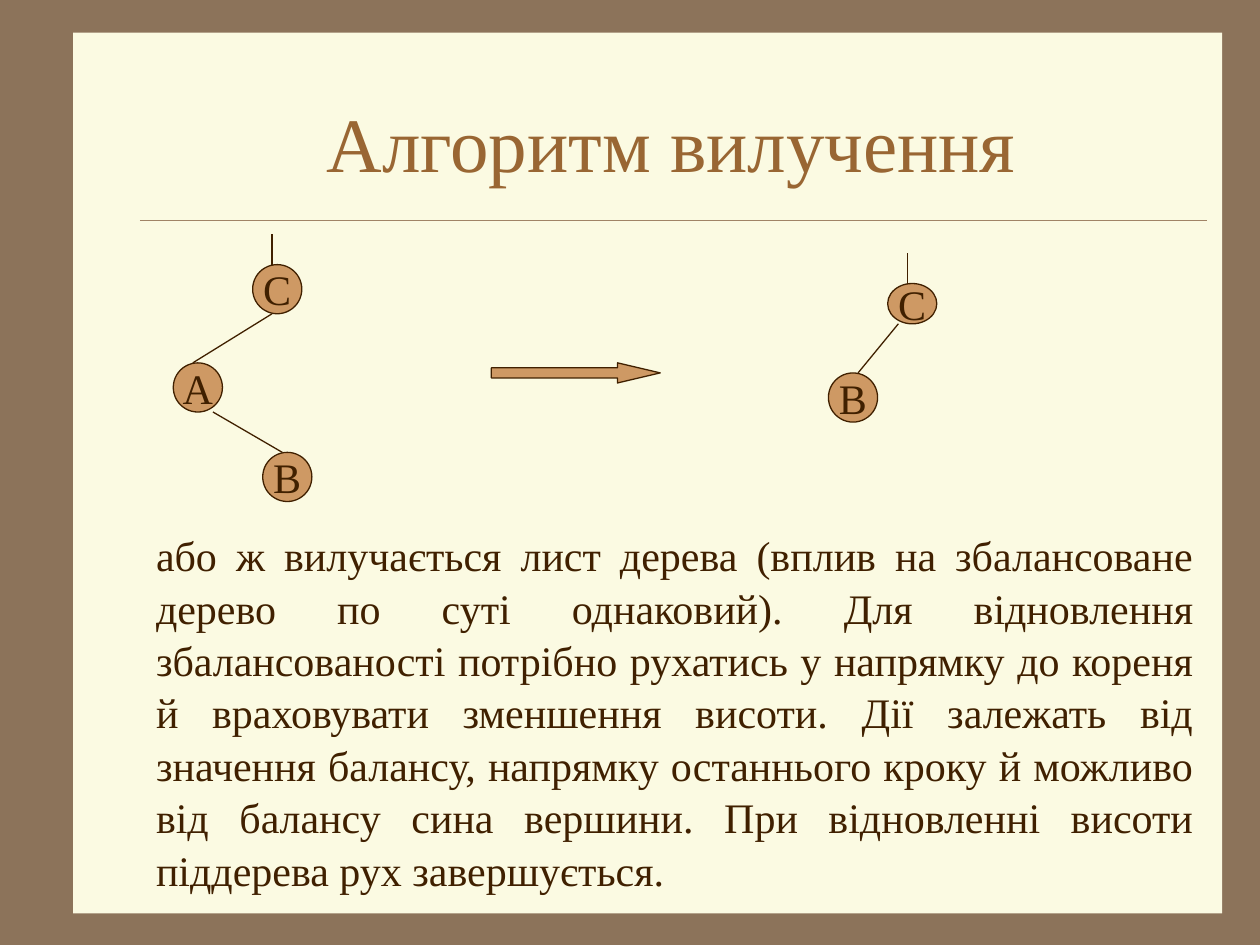
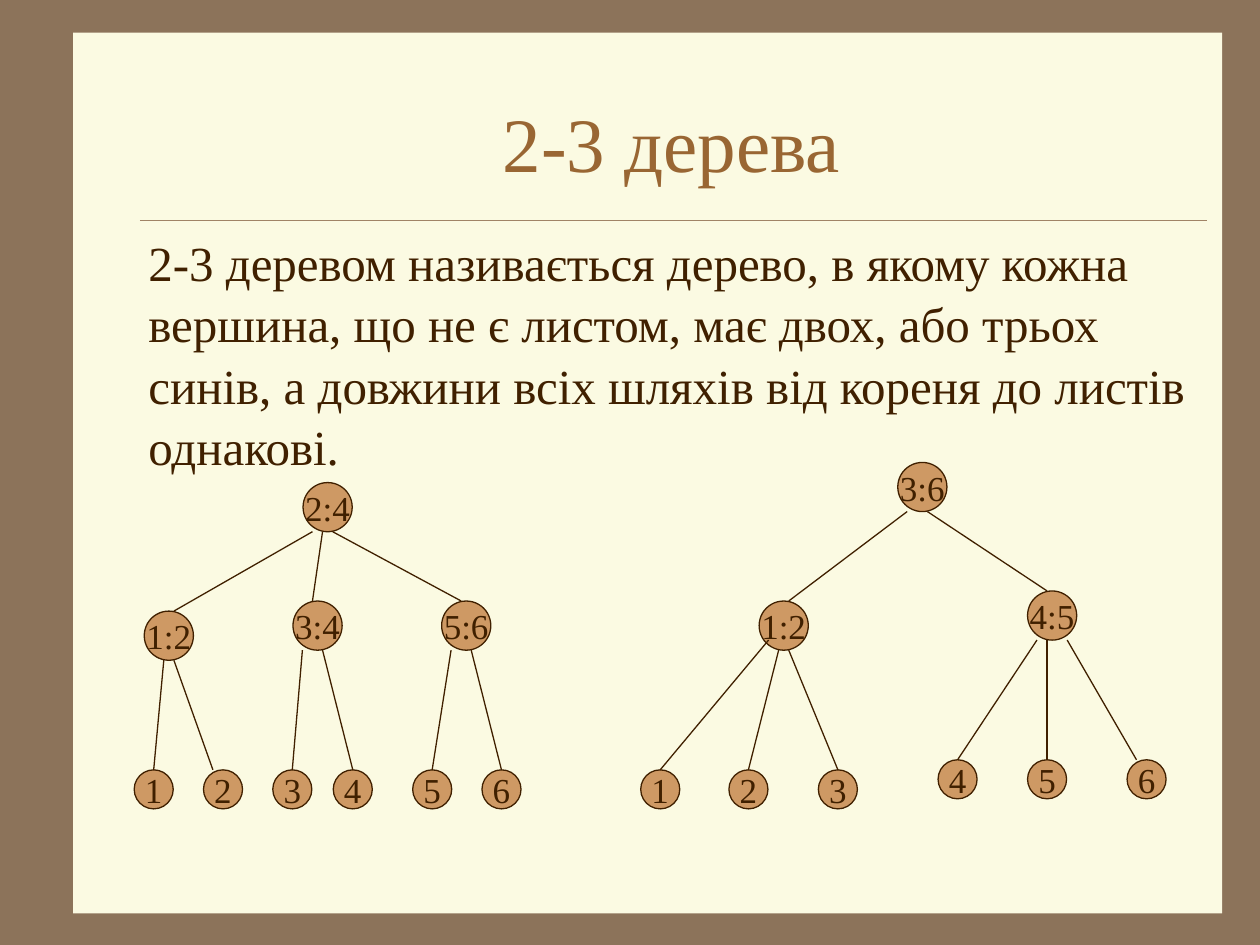
from dataclasses import dataclass

from lxml.etree import SubElement
from pptx import Presentation
from pptx.dml.color import RGBColor
from pptx.enum.shapes import MSO_CONNECTOR, MSO_SHAPE
from pptx.enum.text import MSO_ANCHOR, PP_ALIGN
from pptx.oxml.ns import qn
from pptx.util import Inches, Pt

FONT = "Times New Roman"
BACK, PANEL, RULE = "8C735A", "FBFAE2", "A08366"
TITLE, INK, NODE = "996633", "402000", "CE9964"


@dataclass
class Node:
    """A tree node; out and into shift the ends of the edge from its parent."""
    label: str
    x: float
    top: float
    parent: str = ""
    out: float = 0
    into: float = 0
    w: float = 0.39
    h: float = 0.39
    lift: float = 0


def leaves(parent, top, *rows):
    """Makes the leaves below one parent."""
    return [Node(label, x, top, parent, out, into, 0.31, 0.31, lift)
            for label, x, out, into, lift in rows]


BEFORE = [
    Node("C", 2.2, 2.1),
    Node("A", 1.57, 2.88, "C", -0.04, -0.04),
    Node("B", 2.28, 3.59, "A", 0.12, -0.04),
]
AFTER = [
    Node("C", 7.24, 2.25, h=0.32),
    Node("B", 6.77, 2.96, "C", -0.11, 0.04),
]
LEFT_TREE = [
    Node("2:4", 2.6, 3.83),
    Node("1:2", 1.34, 4.85, "2:4", -0.12, 0.04),
    Node("3:4", 2.52, 4.77, "2:4", -0.04, -0.04),
    Node("5:6", 3.7, 4.77, "2:4", 0.04, -0.04),
    *leaves("1:2", 6.11, ("1", 1.22, -0.04, 0, 0), ("2", 1.77, 0.04, -0.08, 0)),
    *leaves("3:4", 6.11, ("3", 2.32, -0.12, 0, 0), ("4", 2.8, 0.04, 0, 0)),
    *leaves("5:6", 6.11, ("5", 3.43, -0.12, 0, 0), ("6", 3.98, 0.04, 0, 0)),
]
RIGHT_TREE = [
    Node("3:6", 7.32, 3.67),
    Node("1:2", 6.22, 4.77, "3:6", -0.12, 0.04),
    Node("4:5", 8.35, 4.69, "3:6", 0.04, -0.04),
    *leaves("1:2", 6.11, ("1", 5.24, -0.12, 0, 0.08), ("2", 5.94, -0.04, 0, 0),
            ("3", 6.65, 0.04, 0, 0)),
    *leaves("4:5", 6.03, ("4", 7.6, -0.12, 0, 0), ("5", 8.31, -0.04, 0, 0),
            ("6", 9.1, 0.12, -0.08, 0)),
]
SLIDES = [
    {
        "title": "Алгоритм вилучення",
        "text": "або ж вилучається лист дерева (вплив на збалансоване дерево по суті "
                "однаковий). Для відновлення збалансованості потрібно рухатись у напрямку "
                "до кореня й враховувати зменшення висоти. Дії залежать від значення "
                "балансу, напрямку останнього кроку й можливо від балансу сина вершини. "
                "При відновленні висоти піддерева рух завершується.",
        "box": (1.14, 4.14, 8.43, 2.9), "size": 24, "align": PP_ALIGN.JUSTIFY,
        "trees": [BEFORE, AFTER], "label_size": 24, "stem": 0.24,
        "arrow": (3.9, 2.88, 1.34, 0.16),
    },
    {
        "title": "2-3 дерева",
        "text": "2-3 деревом називається дерево, в якому кожна вершина, що не є листом, "
                "має двох, або трьох синів, а довжини всіх шляхів від кореня до листів "
                "однакові.",
        "box": (1.08, 1.78, 8.5, 5.28), "size": 28, "align": PP_ALIGN.LEFT,
        "trees": [LEFT_TREE, RIGHT_TREE], "label_size": 20, "stem": 0,
        "arrow": None,
    },
]


def rgb(value):
    """Turns a hex string into a colour."""
    return RGBColor.from_string(value)


def add_text(tf, text, size, color, align, spacing=None):
    """Writes one formatted run into the first paragraph."""
    p = tf.paragraphs[0]
    p.alignment = align
    p.line_spacing = spacing
    r = p.add_run()
    r.text = text
    r.font.name, r.font.size = FONT, Pt(size)
    r.font.color.rgb = rgb(color)


def add_figure(s, kind, box, fill, line=None):
    """Adds a filled preset shape."""
    sp = s.shapes.add_shape(kind, *map(Inches, box))
    sp.shadow.inherit = False
    sp.fill.solid()
    sp.fill.fore_color.rgb = rgb(fill)
    if line:
        sp.line.color.rgb = rgb(line)
        sp.line.width = Pt(0.75)
    else:
        sp.line.fill.background()
    return sp


def add_line(s, x1, y1, x2, y2, color=INK, width=0.75):
    """Adds a straight line without a shadow."""
    ln = s.shapes.add_connector(MSO_CONNECTOR.STRAIGHT, *map(Inches, (x1, y1, x2, y2)))
    ln.line.color.rgb = rgb(color)
    ln.line.width = Pt(width)
    SubElement(ln.element.spPr, qn("a:effectLst"))
    return ln


def add_tree(s, nodes, size, stem):
    """Draws the nodes of a tree, then its edges."""
    by_label = {n.label: n for n in nodes}
    for n in nodes:
        sp = add_figure(s, MSO_SHAPE.OVAL, (n.x - n.w / 2, n.top, n.w, n.h), NODE, INK)
        tf = sp.text_frame
        tf.word_wrap = False
        tf.vertical_anchor = MSO_ANCHOR.MIDDLE
        add_text(tf, n.label, size, INK, PP_ALIGN.CENTER)
    for n in nodes:
        if n.parent:
            up = by_label[n.parent]
            add_line(s, up.x + n.out, up.top + up.h - n.lift, n.x + n.into, n.top)
        elif stem:
            add_line(s, n.x - 0.04, n.top - stem, n.x - 0.04, n.top)


def add_base(prs, title):
    """Adds a slide with the shared background, panel, rule and title."""
    s = prs.slides.add_slide(prs.slide_layouts[5])
    s.background.fill.solid()
    s.background.fill.fore_color.rgb = rgb(BACK)
    head = s.shapes.title
    panel = add_figure(s, MSO_SHAPE.RECTANGLE, (0.58, 0.26, 9.12, 6.99), PANEL)
    rule = add_line(s, 1.11, 1.75, 9.58, 1.75, RULE, 0.25)
    for part in (panel, rule):
        head.element.addprevious(part.element)
    head.left, head.top, head.width, head.height = map(Inches, (1.08, 0.5, 8.5, 1.25))
    head.text_frame.vertical_anchor = MSO_ANCHOR.MIDDLE
    add_text(head.text_frame, title, 44, TITLE, PP_ALIGN.CENTER)
    return s


def main():
    """Builds and saves the slides."""
    prs = Presentation()
    prs.slide_width, prs.slide_height = Inches(10), Inches(7.5)
    for d in SLIDES:
        s = add_base(prs, d["title"])
        tf = s.shapes.add_textbox(*map(Inches, d["box"])).text_frame
        tf.word_wrap = True
        add_text(tf, d["text"], d["size"], INK, d["align"], 1.04)
        for nodes in d["trees"]:
            add_tree(s, nodes, d["label_size"], d["stem"])
        if d["arrow"]:
            arrow = add_figure(s, MSO_SHAPE.RIGHT_ARROW, d["arrow"], NODE, INK)
            arrow.adjustments[1] = 2.12
    prs.save("out.pptx")


if __name__ == "__main__":
    main()
